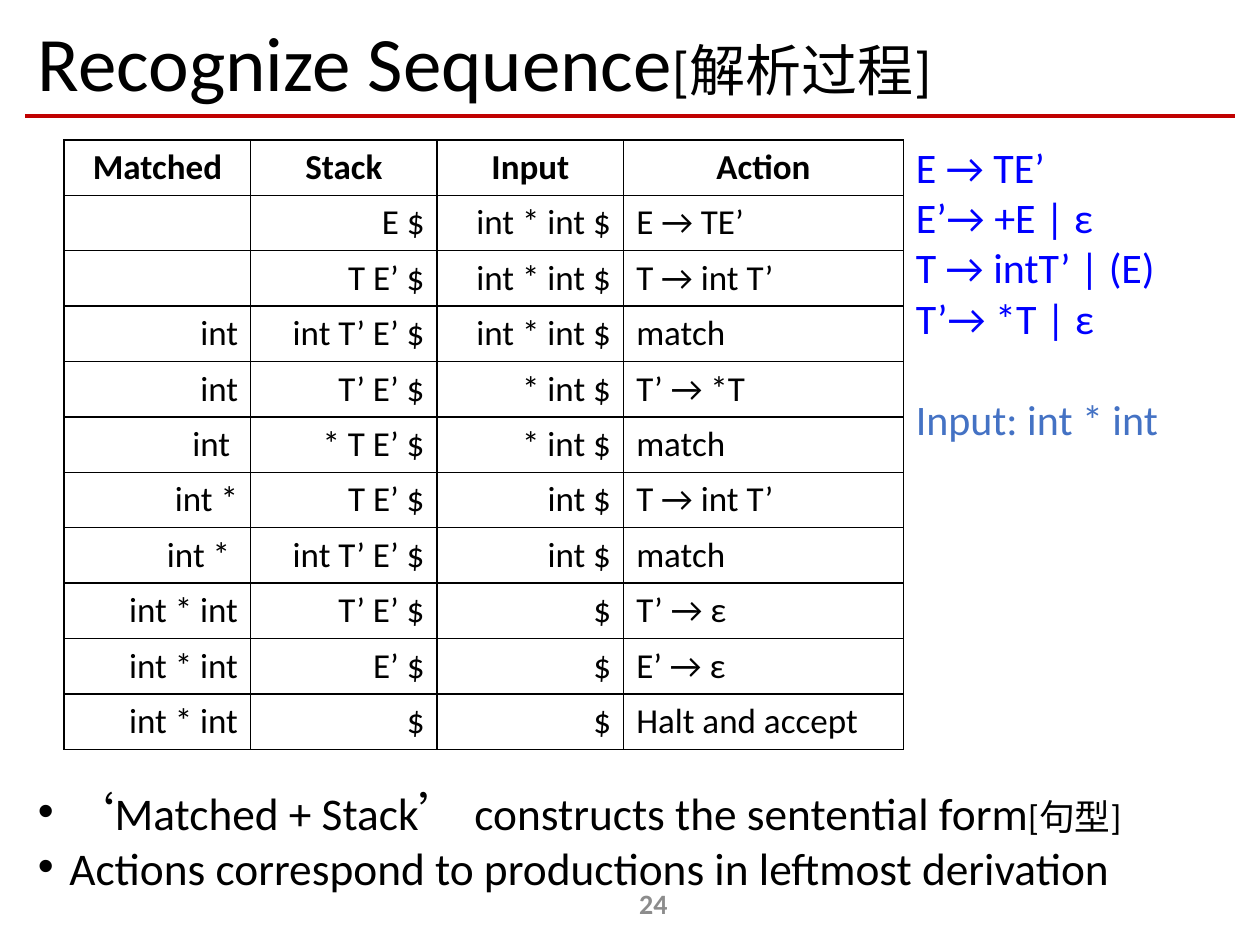
from typing import NamedTuple

from lxml import etree
from pptx import Presentation
from pptx.dml.color import RGBColor
from pptx.enum.shapes import MSO_CONNECTOR
from pptx.enum.text import MSO_ANCHOR, MSO_AUTO_SIZE, PP_ALIGN
from pptx.oxml.ns import qn
from pptx.util import Inches, Pt

LEFT, CENTER, RIGHT = PP_ALIGN.LEFT, PP_ALIGN.CENTER, PP_ALIGN.RIGHT
MIDDLE, BOTTOM = MSO_ANCHOR.MIDDLE, MSO_ANCHOR.BOTTOM
NO_AUTOFIT = MSO_AUTO_SIZE.NONE
STRAIGHT = MSO_CONNECTOR.STRAIGHT

FONT = "Calibri"
BLACK = RGBColor(0x00, 0x00, 0x00)
RED = RGBColor(0xC0, 0x00, 0x00)
BLUE = RGBColor(0x00, 0x00, 0xFF)
SOFT_BLUE = RGBColor(0x44, 0x72, 0xC4)
GRAY = RGBColor(0x8C, 0x8C, 0x8C)


class ParseStep(NamedTuple):
    matched: str
    stack: str
    remaining: str
    action: str


HEADINGS = ParseStep("Matched", "Stack", "Input", "Action")
STEPS = [
    ParseStep("", "E $", "int * int $", "E → TE’"),
    ParseStep("", "T E’ $", "int * int $", "T → int T’"),
    ParseStep("int", "int T’ E’ $", "int * int $", "match"),
    ParseStep("int", "T’ E’ $", "* int $", "T’ → *T"),
    ParseStep("int ", "* T E’ $", "* int $", "match"),
    ParseStep("int *", "T E’ $", "int $", "T → int T’"),
    ParseStep("int * ", "int T’ E’ $", "int $", "match"),
    ParseStep("int * int", "T’ E’ $", "$", "T’ → ε"),
    ParseStep("int * int", "E’ $", "$", "E’ → ε"),
    ParseStep("int * int", "$", "$", "Halt and accept"),
]
COLUMN_WIDTHS = (1.48, 1.48, 1.48, 2.22)
COLUMN_ALIGNS = (RIGHT, RIGHT, RIGHT, LEFT)
ROW_HEIGHT = 0.44
GRAMMAR = ["E → TE’", "E’→ +E | ε", "T → intT’ | (E)", "T’→ *T | ε"]


def add_text(paragraph, text: str, *, size: float, color: RGBColor = BLACK,
             bold: bool = False, align=None) -> None:
    """Append one formatted run to a paragraph."""
    run = paragraph.add_run()
    run.text = text
    run.font.name = FONT
    run.font.size = Pt(size)
    run.font.bold = bold
    run.font.color.rgb = color
    if align is not None:
        paragraph.alignment = align


def place(shape, left: float, top: float, width: float, height: float) -> None:
    shape.left, shape.top = Inches(left), Inches(top)
    shape.width, shape.height = Inches(width), Inches(height)


def next_paragraph(frame, index: int):
    return frame.paragraphs[0] if index == 0 else frame.add_paragraph()


def add_title(slide) -> None:
    title = slide.shapes.title
    place(title, 0.2, 0.13, 9.61, 0.79)
    frame = title.text_frame
    frame.auto_size = NO_AUTOFIT
    frame.vertical_anchor = MIDDLE
    heading = frame.paragraphs[0]
    heading.line_spacing = 0.9
    add_text(heading, "Recognize Sequence", size=44, align=LEFT)
    add_text(heading, "[解析过程]", size=32)


def add_title_rule(slide) -> None:
    rule = slide.shapes.add_connector(
        STRAIGHT, Inches(0.2), Inches(0.92), Inches(9.8), Inches(0.92))
    rule.line.color.rgb = RED
    rule.line.width = Pt(2.5)
    etree.SubElement(rule._element.spPr, qn("a:effectLst"))


def add_remarks(slide) -> None:
    body = slide.placeholders[1]
    place(body, 0.2, 6.1, 9.61, 1.04)
    frame = body.text_frame
    frame.auto_size = NO_AUTOFIT
    frame.vertical_anchor = BOTTOM
    remarks = [
        [("‘Matched + Stack’ constructs the sentential form", 25.9), ("[句型]", 20.4)],
        [("Actions correspond to productions in leftmost derivation", 25.9)],
    ]
    for index, parts in enumerate(remarks):
        remark = next_paragraph(frame, index)
        remark.line_spacing = 0.7
        remark.space_before = Pt(10)
        properties = remark._p.get_or_add_pPr()
        properties.set("marL", str(Inches(0.25)))
        properties.set("indent", str(-Inches(0.25)))
        for text, size in parts:
            add_text(remark, text, size=size)


def outline_cell(cell) -> None:
    properties = cell._tc.get_or_add_tcPr()
    for side in ("a:lnL", "a:lnR", "a:lnT", "a:lnB"):
        border = etree.SubElement(properties, qn(side), w=str(Pt(1)))
        fill = etree.SubElement(border, qn("a:solidFill"))
        etree.SubElement(fill, qn("a:srgbClr"), val=str(BLACK))


def add_parse_table(slide) -> None:
    rows = [HEADINGS, *STEPS]
    table = slide.shapes.add_table(
        len(rows), len(COLUMN_WIDTHS), Inches(0.51), Inches(1.11),
        Inches(sum(COLUMN_WIDTHS)), Inches(ROW_HEIGHT * len(rows))).table
    for column, width in zip(table.columns, COLUMN_WIDTHS):
        column.width = Inches(width)
    for row_index, step in enumerate(rows):
        table.rows[row_index].height = Inches(ROW_HEIGHT)
        is_heading = row_index == 0
        for column_index, text in enumerate(step):
            cell = table.cell(row_index, column_index)
            outline_cell(cell)
            cell.fill.background()
            if text:
                align = CENTER if is_heading else COLUMN_ALIGNS[column_index]
                add_text(cell.text_frame.paragraphs[0], text, size=20,
                         bold=is_heading, align=align)


def add_grammar(slide) -> None:
    grammar = slide.shapes.add_textbox(
        Inches(7.17), Inches(1.07), Inches(2.14), Inches(2.52))
    frame = grammar.text_frame
    frame.word_wrap = False
    for index, production in enumerate(GRAMMAR):
        add_text(next_paragraph(frame, index), production, size=24, color=BLUE,
                 align=LEFT)
    sample = frame.add_paragraph()
    sample.space_before = Pt(29)
    add_text(sample, "Input: int * int", size=24, color=SOFT_BLUE, align=LEFT)


def add_page_number(slide) -> None:
    page = slide.shapes.add_textbox(
        Inches(4.06), Inches(6.97), Inches(2.25), Inches(0.4))
    frame = page.text_frame
    frame.word_wrap = True
    frame.vertical_anchor = MIDDLE
    add_text(frame.paragraphs[0], "24", size=16, color=GRAY, bold=True,
             align=CENTER)


def main() -> None:
    deck = Presentation()
    deck.slide_width, deck.slide_height = Inches(10), Inches(7.5)
    slide = deck.slides.add_slide(deck.slide_layouts[1])

    # Heading
    add_title(slide)
    add_title_rule(slide)

    # Parse trace with its grammar
    add_remarks(slide)
    add_page_number(slide)
    add_parse_table(slide)
    add_grammar(slide)

    deck.save("out.pptx")


if __name__ == "__main__":
    main()
